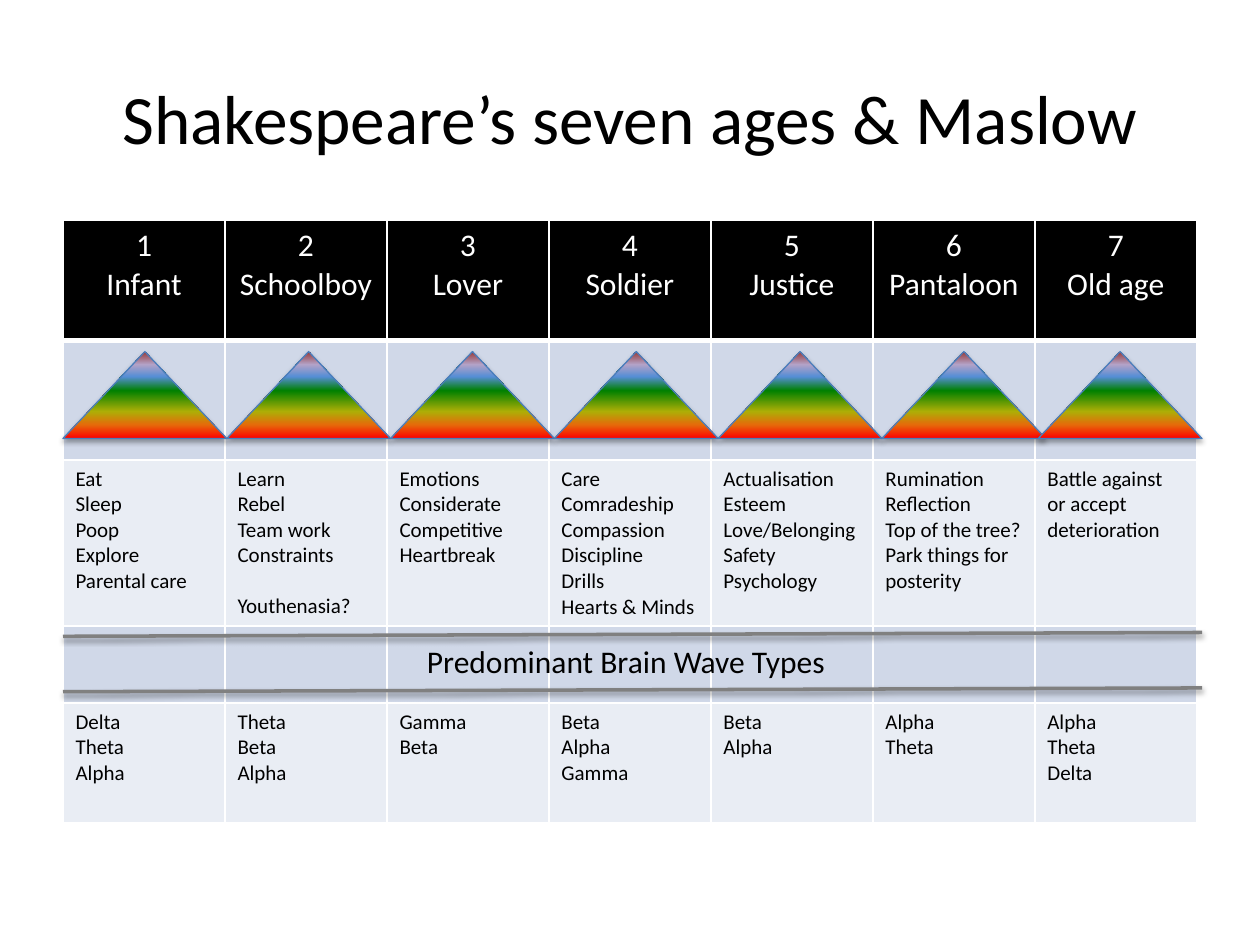
from dataclasses import dataclass

from lxml.etree import SubElement
from pptx import Presentation
from pptx.dml.color import RGBColor as Rgb
from pptx.enum.shapes import MSO_CONNECTOR as Connector, MSO_SHAPE as Preset
from pptx.enum.text import MSO_ANCHOR as Anchor, MSO_AUTO_SIZE as AutoSize, PP_ALIGN as Align
from pptx.oxml.ns import qn
from pptx.util import Inches, Pt

COLORS = {
    "ink": "000000", "paper": "FFFFFF", "band": "D0D8E8", "pale": "E9EDF4",
    "edge": "4B7EBC", "rule": "808080",
}
SPECTRUM = {
    0: "FF0000", 16: "E46C0A", 31: "ADAE06", 55: "008000",
    71: "558ED5", 85: "B3A2C7", 100: "953735",
}
LEFT, TOP, WIDTH = 0.5, 1.75, 9
ROW_HEIGHTS = (0.95, 0.95, 0.95, 0.61, 0.95)
ROW_FILLS = ("ink", "band", "pale", "band", "pale")
PYRAMID_WIDTH, PYRAMID_HEIGHT = 1.3, 0.69
RULE_END = 9.54
GAP = "~"


@dataclass(frozen=True)
class Age:
    name: str
    traits: tuple[str, ...]
    waves: tuple[str, ...]


@dataclass(frozen=True)
class TextStyle:
    size: float
    color: str = "ink"
    align: Align = Align.LEFT


AGES = (
    Age("Infant", ("Eat", "Sleep", "Poop", "Explore", "Parental care"),
        ("Delta", "Theta", "Alpha")),
    Age("Schoolboy", ("Learn", "Rebel", "Team work", "Constraints", GAP + "Youthenasia?"),
        ("Theta", "Beta", "Alpha")),
    Age("Lover", ("Emotions", "Considerate", "Competitive", "Heartbreak"),
        ("Gamma", "Beta")),
    Age("Soldier", ("Care", "Comradeship", "Compassion", "Discipline", "Drills",
                    "Hearts & Minds"),
        ("Beta", "Alpha", "Gamma")),
    Age("Justice", ("Actualisation", "Esteem", "Love/Belonging", "Safety", "Psychology"),
        ("Beta", "Alpha")),
    Age("Pantaloon", ("Rumination", "Reflection", "Top of the tree?",
                      "Park things for posterity"),
        ("Alpha", "Theta")),
    Age("Old age", ("Battle against", "or accept deterioration"),
        ("Alpha", "Theta", "Delta")),
)
HEADER = TextStyle(18, "paper", Align.CENTER)
DETAIL = TextStyle(12)


def rgb(name: str) -> Rgb:
    return Rgb.from_string(COLORS[name])


def write(frame, lines: tuple[str, ...], style: TextStyle) -> None:
    font_format = {"name": "Calibri", "size": Pt(style.size), "bold": False}
    for index, line in enumerate(lines):
        paragraph = frame.paragraphs[0] if index == 0 else frame.add_paragraph()
        paragraph.alignment = style.align
        if line.startswith(GAP):
            paragraph.space_before = Pt(style.size * 1.2)
        run = paragraph.add_run()
        run.text = line.removeprefix(GAP)
        for key, value in font_format.items():
            setattr(run.font, key, value)
        run.font.color.rgb = rgb(style.color)


def add_solid(parent, color: str):
    solid = SubElement(parent, qn("a:solidFill"))
    return SubElement(solid, qn("a:srgbClr"), val=color)


def add_shadow(shape, distance: float, opacity: int) -> None:
    effects = SubElement(shape.element.spPr, qn("a:effectLst"))
    shadow = SubElement(effects, qn("a:outerShdw"), blurRad=str(Pt(3.1)),
                        dist=str(Pt(distance)), dir="5400000", rotWithShape="0")
    tint = SubElement(shadow, qn("a:srgbClr"), val=COLORS["ink"])
    SubElement(tint, qn("a:alpha"), val=str(opacity * 1000))


def format_cell(cell, fill: str, bottom: float) -> None:
    properties = cell._tc.get_or_add_tcPr()
    for side, width in {"lnL": 1, "lnR": 1, "lnT": 1, "lnB": bottom}.items():
        border = SubElement(properties, qn(f"a:{side}"), w=str(Pt(width)))
        add_solid(border, COLORS["paper"])
    cell.fill.solid()
    cell.fill.fore_color.rgb = rgb(fill)


def add_ages_table(slide) -> None:
    graphic = slide.shapes.add_table(
        len(ROW_HEIGHTS), len(AGES), Inches(LEFT), Inches(TOP), Inches(WIDTH), Inches(4.76))
    table = graphic.table
    for row, height in enumerate(ROW_HEIGHTS):
        table.rows[row].height = Inches(height)
        for column in range(len(AGES)):
            format_cell(table.cell(row, column), ROW_FILLS[row], 3 if row == 0 else 1)
    for column, age in enumerate(AGES):
        contents = {
            0: ((str(column + 1), age.name), HEADER),
            2: (age.traits, DETAIL),
            4: (age.waves, DETAIL),
        }
        for row, (lines, style) in contents.items():
            write(table.cell(row, column).text_frame, lines, style)
    graphic.height = Inches(4.76)


def add_pyramid(slide, left: float) -> None:
    pyramid = slide.shapes.add_shape(
        Preset.ISOSCELES_TRIANGLE, Inches(left), Inches(2.79),
        Inches(PYRAMID_WIDTH), Inches(PYRAMID_HEIGHT))
    pyramid.fill.gradient()
    pyramid.fill.gradient_angle = 90
    stops = pyramid.element.spPr.find(qn("a:gradFill")).find(qn("a:gsLst"))
    for stop in list(stops):
        stops.remove(stop)
    for position, color in SPECTRUM.items():
        stop = SubElement(stops, qn("a:gs"), pos=str(position * 1000))
        SubElement(stop, qn("a:srgbClr"), val=color)
    pyramid.line.color.rgb = rgb("edge")
    pyramid.line.width = Pt(0.75)
    add_shadow(pyramid, 1.8, 35)


def add_rule(slide, start: float) -> None:
    rule = slide.shapes.add_connector(
        Connector.STRAIGHT, Inches(LEFT), Inches(start), Inches(RULE_END), Inches(start - 0.03))
    rule.line.color.rgb = rgb("rule")
    rule.line.width = Pt(2)
    add_shadow(rule, 1.6, 38)


def add_wave_heading(slide) -> None:
    heading = slide.shapes.add_textbox(Inches(3.29), Inches(5.05), Inches(3.39), Inches(0.4))
    frame = heading.text_frame
    for key, value in {"word_wrap": False, "auto_size": AutoSize.SHAPE_TO_FIT_TEXT}.items():
        setattr(frame, key, value)
    write(frame, ("Predominant Brain Wave Types",), TextStyle(18))


def add_title(slide) -> None:
    title = slide.shapes.title
    place = {"left": LEFT, "top": 0.3, "width": WIDTH, "height": 1.25}
    for key, value in place.items():
        setattr(title, key, Inches(value))
    title.text_frame.vertical_anchor = Anchor.MIDDLE
    write(title.text_frame, ("Shakespeare’s seven ages & Maslow",),
          TextStyle(39.6, align=Align.CENTER))


def main() -> None:
    deck = Presentation()
    deck.slide_width, deck.slide_height = Inches(10), Inches(7.5)
    slide = deck.slides.add_slide(deck.slide_layouts[5])
    add_title(slide)
    add_ages_table(slide)
    for column in range(len(AGES)):
        add_pyramid(slide, min(LEFT + column * PYRAMID_WIDTH, RULE_END - PYRAMID_WIDTH))
    for start in (5.05, 5.49):
        add_rule(slide, start)
    add_wave_heading(slide)
    deck.save("out.pptx")


main()
